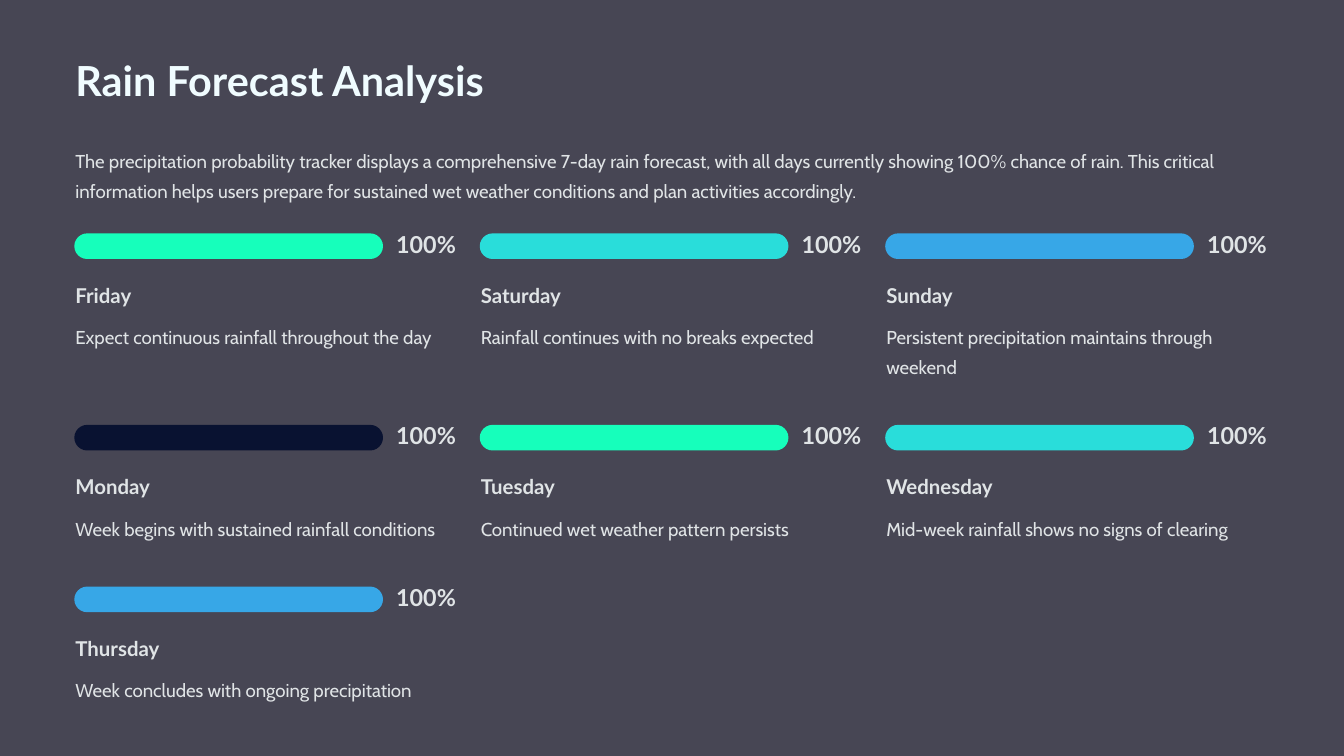
from dataclasses import dataclass

from pptx import Presentation
from pptx.dml.color import RGBColor
from pptx.enum.shapes import MSO_SHAPE
from pptx.slide import Slide
from pptx.util import Cm, Pt

ROUNDED = MSO_SHAPE.ROUNDED_RECTANGLE


@dataclass(frozen=True)
class TextStyle:
    font: str
    size: float
    line_height: float
    color: str
    bold: bool = False


@dataclass(frozen=True)
class Theme:
    background: str = "474654"
    track: str = "0A081B"
    green: str = "16FFBB"
    teal: str = "29DDDA"
    blue: str = "37A7E7"
    navy: str = "091231"
    outline: float = 1.8
    title: TextStyle = TextStyle("Lato", 35.5, 44.5, "F0FCFF", True)
    percent: TextStyle = TextStyle("Lato", 20, 20, "E0E4E6", True)
    day: TextStyle = TextStyle("Lato", 17.5, 22, "E0E4E6", True)
    body: TextStyle = TextStyle("Cabin", 16, 25.5, "E0E4E6")


@dataclass(frozen=True)
class Forecast:
    day: str
    description: str
    lines: int = 1
    chance: int = 100


THEME = Theme()
BAR_COLORS = (THEME.green, THEME.teal, THEME.blue, THEME.navy)
COLUMNS = 3
MARGIN = 2.28
COLUMN_PITCH = 12.26
COLUMN_WIDTH = 11.56
GRID_TOP = 7.09
ROW_PITCH = 4.89
LINE_HEIGHT = 0.9
BAR_WIDTH = 9.27
BAR_HEIGHT = 0.71

INTRO = (
    "The precipitation probability tracker displays a comprehensive 7-day rain "
    "forecast, with all days currently showing 100% chance of rain. This critical "
    "information helps users prepare for sustained wet weather conditions and plan "
    "activities accordingly."
)
FORECASTS = (
    Forecast("Friday", "Expect continuous rainfall throughout the day"),
    Forecast("Saturday", "Rainfall continues with no breaks expected"),
    Forecast("Sunday", "Persistent precipitation maintains through weekend", 2),
    Forecast("Monday", "Week begins with sustained rainfall conditions"),
    Forecast("Tuesday", "Continued wet weather pattern persists"),
    Forecast("Wednesday", "Mid-week rainfall shows no signs of clearing"),
    Forecast("Thursday", "Week concludes with ongoing precipitation"),
)


def add_text(slide: Slide, text: str, style: TextStyle, left: float, top: float,
             width: float, height: float, wrap: bool = False) -> None:
    text_box = slide.shapes.add_textbox(Cm(left), Cm(top), Cm(width), Cm(height))
    frame = text_box.text_frame
    frame.word_wrap = wrap
    frame.margin_left = frame.margin_top = 0
    frame.margin_right = frame.margin_bottom = 0
    paragraph = frame.paragraphs[0]
    paragraph.line_spacing = Pt(style.line_height)
    run = paragraph.add_run()
    run.text = text
    run.font.name = style.font
    run.font.size = Pt(style.size)
    run.font.bold = style.bold
    run.font.color.rgb = RGBColor.from_string(style.color)


def add_bar(slide: Slide, left: float, top: float, width: float,
            fill: str, outline: str | None = None) -> None:
    shape = slide.shapes.add_shape(
        ROUNDED, Cm(left), Cm(top), Cm(width), Cm(BAR_HEIGHT))
    shape.adjustments[0] = 0.5
    shape.shadow.inherit = False
    shape.fill.solid()
    shape.fill.fore_color.rgb = RGBColor.from_string(fill)
    if outline is None:
        shape.line.fill.background()
    else:
        shape.line.color.rgb = RGBColor.from_string(outline)
        shape.line.width = Pt(THEME.outline)


def add_forecast(slide: Slide, forecast: Forecast, color: str,
                 left: float, top: float) -> None:
    add_bar(slide, left, top, BAR_WIDTH, THEME.track, color)
    add_bar(slide, left, top, BAR_WIDTH * forecast.chance / 100, color)
    add_text(slide, f"{forecast.chance}%", THEME.percent,
             left + 9.7, top, 1.86, BAR_HEIGHT)
    add_text(slide, forecast.day, THEME.day, left, top + 1.43, 6.35, 0.79)
    add_text(slide, forecast.description, THEME.body, left, top + 2.55,
             COLUMN_WIDTH, LINE_HEIGHT * forecast.lines, forecast.lines > 1)


def main() -> None:
    presentation = Presentation()
    presentation.slide_width = Cm(40.64)
    presentation.slide_height = Cm(22.86)
    slide = presentation.slides.add_slide(presentation.slide_layouts[6])
    slide.background.fill.solid()
    slide.background.fill.fore_color.rgb = RGBColor.from_string(THEME.background)

    add_text(slide, "Rain Forecast Analysis", THEME.title, MARGIN, 1.6, 13.41, 1.57)
    add_text(slide, INTRO, THEME.body, MARGIN, 4.32, 36.07, 1.83, True)

    top = GRID_TOP
    for start in range(0, len(FORECASTS), COLUMNS):
        row = FORECASTS[start:start + COLUMNS]
        for column, forecast in enumerate(row):
            color = BAR_COLORS[(start + column) % len(BAR_COLORS)]
            add_forecast(slide, forecast, color, MARGIN + column * COLUMN_PITCH, top)
        extra_lines = max(forecast.lines for forecast in row) - 1
        top += ROW_PITCH + extra_lines * LINE_HEIGHT

    presentation.save("out.pptx")


if __name__ == "__main__":
    main()
